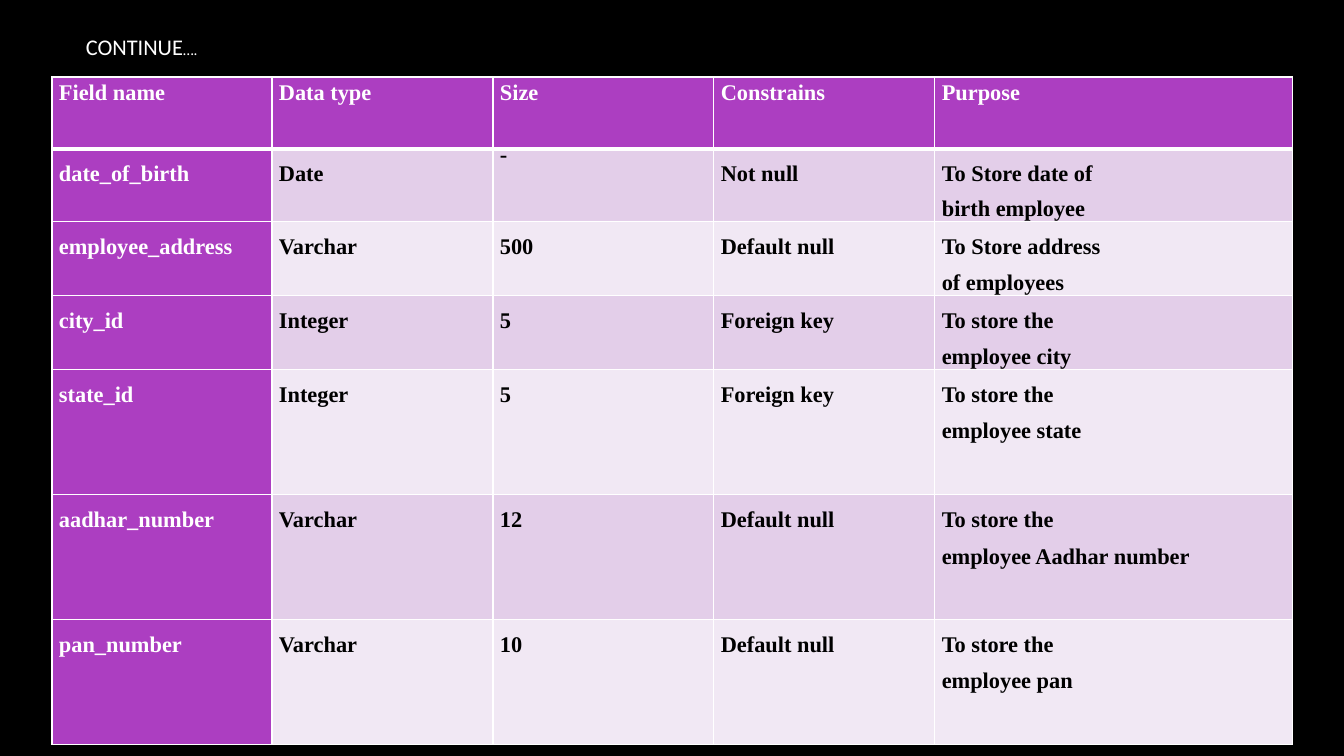
from lxml.etree import SubElement
from pptx import Presentation
from pptx.dml.color import RGBColor
from pptx.enum.text import MSO_ANCHOR
from pptx.oxml.ns import qn
from pptx.util import Pt

SCALE = 914400 / 100.8  # EMU in one px
COLORS = {
    "back": "000000", "white": "FFFFFF", "ink": "000000",
    "head": "AC3EC1", "dark": "E3CEE9", "light": "F1E8F4",
}
WIDTHS = [220, 221, 221, 221, 358]
HEIGHTS = [72, 72, 74, 73, 125, 125, 125]
GAPS = [12.4, 13.4, 13.4, 13.4, 14, 13.4]  # points between purpose lines
HEAD = ["Field name", "Data type", "Size", "Constrains", "Purpose"]
FIELDS = [
    ["date_of_birth", "Date", "-", "Not null", "To Store date of\nbirth employee"],
    ["employee_address", "Varchar", "500", "Default null", "To Store address\nof employees"],
    ["city_id", "Integer", "5", "Foreign key", "To store the\nemployee city"],
    ["state_id", "Integer", "5", "Foreign key", "To store the\nemployee state"],
    ["aadhar_number", "Varchar", "12", "Default null", "To store the\nemployee Aadhar number"],
    ["pan_number", "Varchar", "10", "Default null", "To store the\nemployee pan"],
]


def px(n):
    return round(n * SCALE)


def color(name):
    return RGBColor.from_string(COLORS[name])


def border(cell, row):
    # White grid, with a thicker rule under the header
    props = cell._tc.get_or_add_tcPr()
    thick = {(0, "B"), (1, "T")}
    for side in "LRTB":
        width = Pt(3 if (row, side) in thick else 1)
        line = SubElement(props, qn(f"a:ln{side}"), w=str(width))
        fill = SubElement(line, qn("a:solidFill"))
        SubElement(fill, qn("a:srgbClr"), val=COLORS["white"])


def fill_cell(cell, row, col, text):
    border(cell, row)
    label = row == 0 or col == 0
    shade = "head" if label else "dark" if row % 2 else "light"
    cell.fill.solid()
    cell.fill.fore_color.rgb = color(shade)
    cell.margin_left = cell.margin_right = px(7)
    cell.margin_top = px(0 if row == 0 or text == "-" else 19)
    cell.margin_bottom = 0
    cell.text = text
    for num, para in enumerate(cell.text_frame.paragraphs):
        font = para.font
        font.name, font.size, font.bold = "Times New Roman", Pt(16), True
        font.color.rgb = color("white" if label else "ink")
        if row == 0:
            para.line_spacing = 1.15
            para.space_after = Pt(10)
        else:
            para.line_spacing = Pt(12.4 if num else 13.4)
            if num:
                para.space_before = Pt(GAPS[row - 1])


def add_title(slide, x, y, w, h):
    frame = slide.shapes.add_textbox(px(x), px(y), px(w), px(h)).text_frame
    frame.word_wrap = True
    frame.vertical_anchor = MSO_ANCHOR.MIDDLE
    para = frame.paragraphs[0]
    para.font.name = "Calibri"
    para.font.color.rgb = color("white")
    for text, size in [("CONTINUE", 16), ("….", 11)]:
        run = para.add_run()
        run.text = text
        run.font.size = Pt(size)


def add_fields(slide, x, y, w, h):
    rows = [HEAD] + FIELDS
    table = slide.shapes.add_table(
        len(rows), len(HEAD), px(x), px(y), px(w), px(h)).table
    table.horz_banding = False
    for col, width in zip(table.columns, WIDTHS):
        col.width = px(width)
    for row, height in zip(table.rows, HEIGHTS):
        row.height = px(height)
    for r, texts in enumerate(rows):
        for c, text in enumerate(texts):
            fill_cell(table.cell(r, c), r, c, text)


def main():
    deck = Presentation()
    deck.slide_width, deck.slide_height = px(1344), px(756)
    slide = deck.slides.add_slide(deck.slide_layouts[6])
    slide.background.fill.solid()
    slide.background.fill.fore_color.rgb = color("back")
    add_title(slide, 76, 17, 1117, 60)
    add_fields(slide, 52, 77, sum(WIDTHS), sum(HEIGHTS))
    deck.save("out.pptx")


if __name__ == "__main__":
    main()
